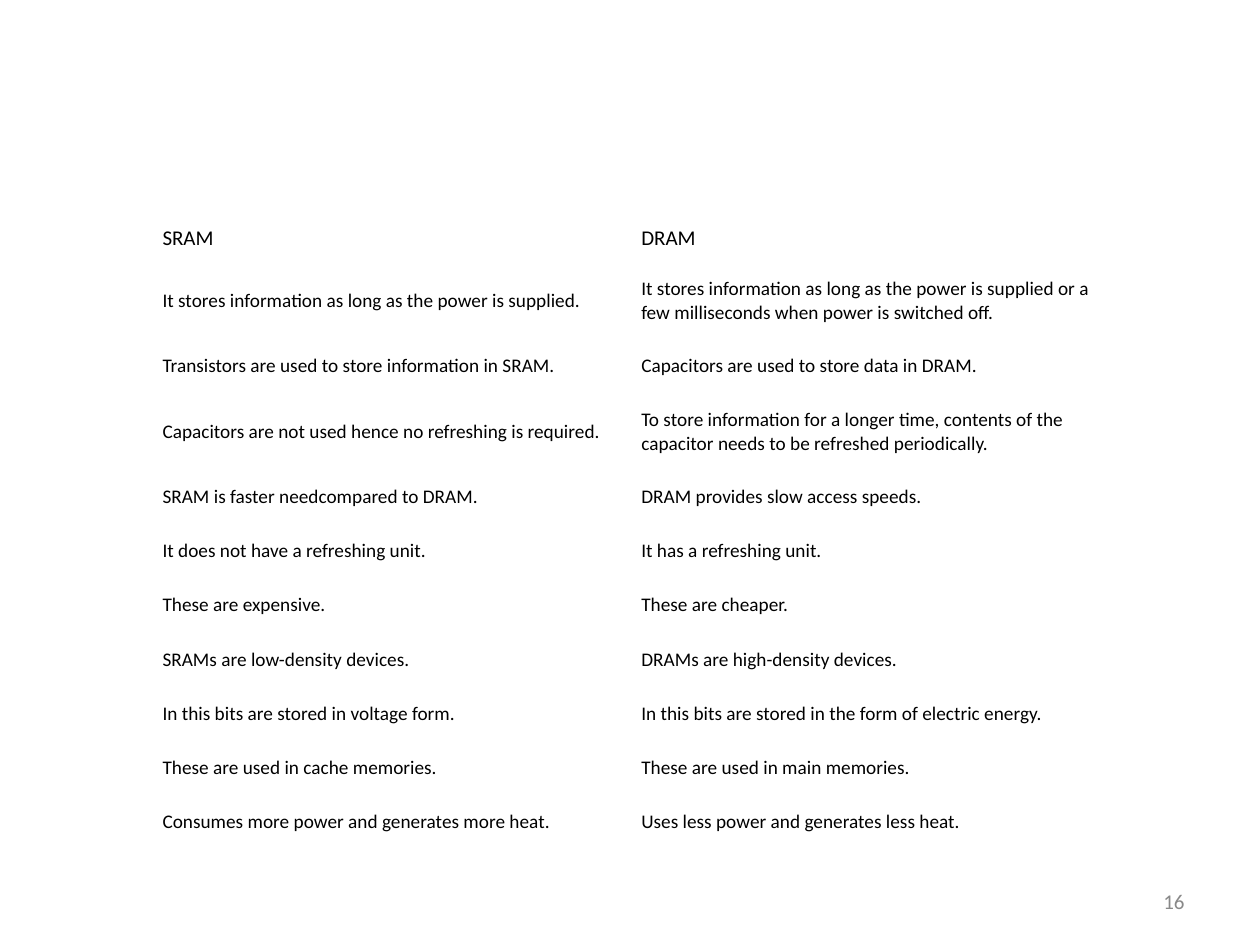
import pptx
import pptx.dml.color
import pptx.enum.text
import pptx.util
from dataclasses import dataclass

PX = 9144


@dataclass(frozen=True)
class Theme:
    font: str = "Calibri"
    ink: str = "000000"
    muted: str = "898989"
    paper: str = "FFFFFF"
    heading_size: int = 12
    body_size: int = 11
    number_size: int = 12


THEME = Theme()

COMPARISON = [
    ("SRAM", "DRAM"),
    ("It stores information as long as the power is supplied.",
     "It stores information as long as the power is supplied or a few "
     "milliseconds when power is switched off."),
    ("Transistors are used to store information in SRAM.",
     "Capacitors are used to store data in DRAM."),
    ("Capacitors are not used hence no refreshing is required.",
     "To store information for a longer time, contents of the capacitor "
     "needs to be refreshed periodically."),
    ("SRAM is faster needcompared to DRAM.", "DRAM provides slow access speeds."),
    ("It does not have a refreshing unit.", "It has a refreshing unit."),
    ("These are expensive.", "These are cheaper."),
    ("SRAMs are low-density devices.", "DRAMs are high-density devices."),
    ("In this bits are stored in voltage form.",
     "In this bits are stored in the form of electric energy."),
    ("These are used in cache memories.", "These are used in main memories."),
    ("Consumes more power and generates more heat.",
     "Uses less power and generates less heat."),
]
HEADING_HEIGHT = 38
ONE_LINE_HEIGHT = 43
TWO_LINE_HEIGHT = 61
TWO_LINE_ROWS = (1, 3)


def emu(px):
    return pptx.util.Emu(px * PX)


def rgb(value):
    return pptx.dml.color.RGBColor.from_string(value)


def set_text(text_frame, wording, size, color):
    text_frame.text = wording
    font = text_frame.paragraphs[0].runs[0].font
    font.name = THEME.font
    font.size = pptx.util.Pt(size)
    font.bold = False
    font.color.rgb = rgb(color)


def row_height(index):
    if index == 0:
        return HEADING_HEIGHT
    return TWO_LINE_HEIGHT if index in TWO_LINE_ROWS else ONE_LINE_HEIGHT


def add_comparison(slide, left, top, width, height):
    columns = len(COMPARISON[0])
    comparison = slide.shapes.add_table(
        len(COMPARISON), columns, emu(left), emu(top), emu(width), emu(height)).table
    comparison.first_row = False
    comparison.horz_banding = False
    for column in comparison.columns:
        column.width = emu(width // columns)
    for index, statements in enumerate(COMPARISON):
        comparison.rows[index].height = emu(row_height(index))
        size = THEME.body_size if index else THEME.heading_size
        for cell, statement in zip(comparison.rows[index].cells, statements):
            cell.fill.solid()
            cell.fill.fore_color.rgb = rgb(THEME.paper)
            cell.vertical_anchor = pptx.enum.text.MSO_ANCHOR.MIDDLE
            cell.margin_left = cell.margin_right = emu(9)
            cell.margin_top = cell.margin_bottom = emu(5)
            set_text(cell.text_frame, statement, size, THEME.ink)


def add_page_number(slide, left, top, width, height):
    page_number = slide.shapes.add_textbox(
        emu(left), emu(top), emu(width), emu(height)).text_frame
    page_number.word_wrap = True
    page_number.vertical_anchor = pptx.enum.text.MSO_ANCHOR.MIDDLE
    set_text(page_number, "16", THEME.number_size, THEME.muted)
    page_number.paragraphs[0].alignment = pptx.enum.text.PP_ALIGN.RIGHT


def main():
    deck = pptx.Presentation()
    deck.slide_width = emu(1000)
    deck.slide_height = emu(750)
    slide = deck.slides.add_slide(deck.slide_layouts[6])
    add_comparison(slide, 120, 170, 760, 504)
    add_page_number(slide, 717, 695, 233, 40)
    deck.save("out.pptx")


if __name__ == "__main__":
    main()
